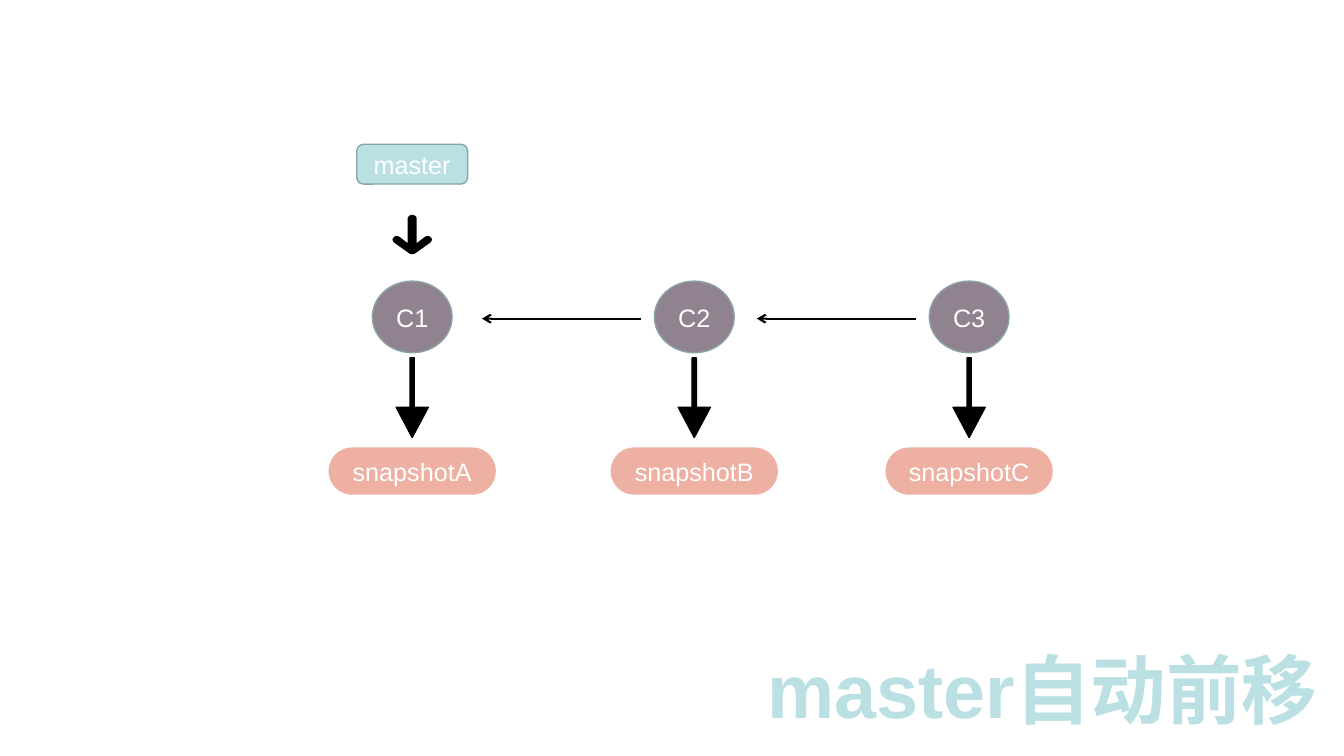
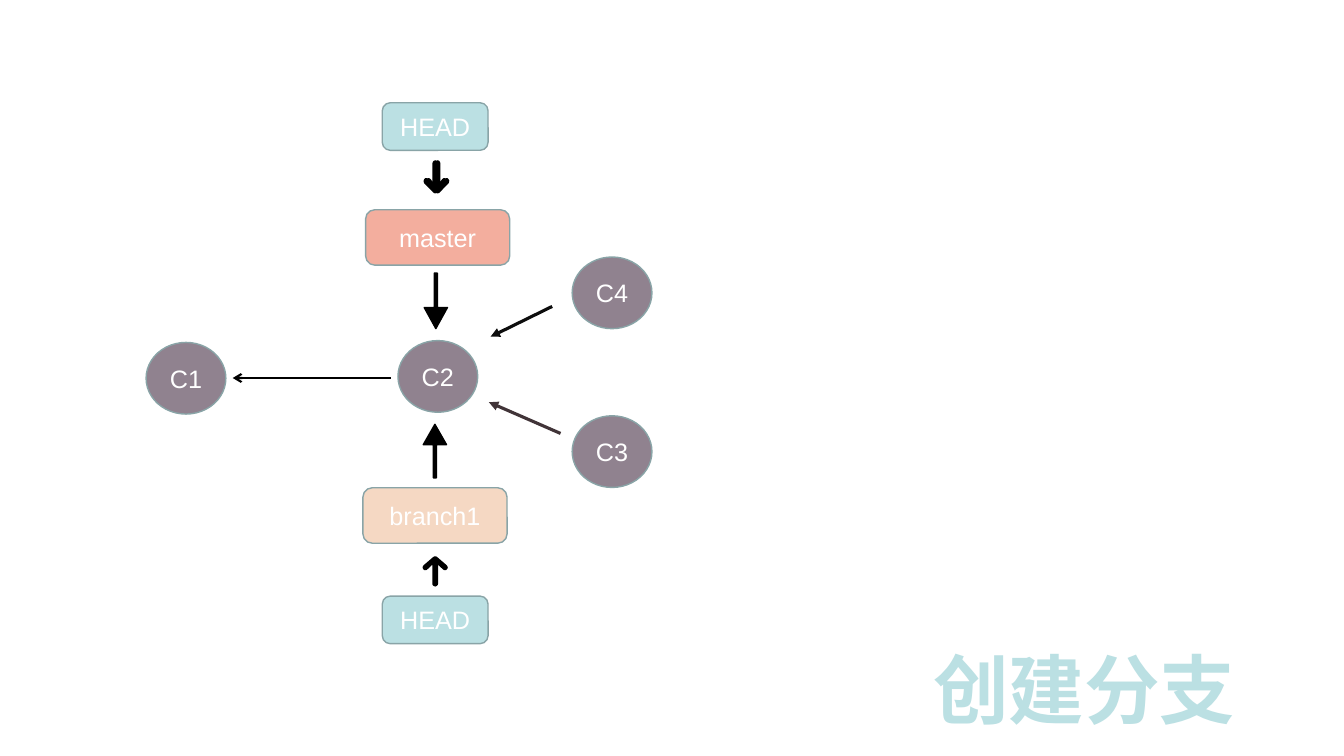
from dataclasses import dataclass

from pptx import Presentation
from pptx.dml.color import RGBColor
from pptx.enum.shapes import MSO_CONNECTOR as Link, MSO_SHAPE as Preset
from pptx.enum.text import MSO_ANCHOR as Anchor, MSO_AUTO_SIZE as Fit, PP_ALIGN as Align
from pptx.oxml.ns import qn
from pptx.util import Pt
from lxml.etree import SubElement


@dataclass(frozen=True)
class Theme:
    font: str = "Arial"
    title_size: float = 54
    label_size: float = 18
    outline: float = 0.99
    white: str = "FFFFFF"
    black: str = "000000"
    near_black: str = "0D0D0D"
    brown: str = "413438"
    edge: str = "89A4A7"
    aqua: str = "BBE0E3"
    mauve: str = "90828F"
    rose: str = "EEB0A2"
    coral: str = "F3AE9E"
    sand: str = "F5D8C3"


theme = Theme()
PAGE_SIZE = (960.48, 540)
TITLE_RIGHT, TITLE_TOP, TITLE_HEIGHT = 958.4, 455.8, 72

STYLES = {
    "commit": (Preset.OVAL, 57, 51.2, theme.mauve, theme.edge, None),
    "snapshot": (Preset.ROUNDED_RECTANGLE, 119.5, 33.8, theme.rose, None, 0.5),
    "pointer": (Preset.ROUNDED_RECTANGLE, 79.2, 28.4, theme.aqua, theme.edge, 0.167),
    "head": (Preset.ROUNDED_RECTANGLE, 75.6, 34, theme.aqua, theme.edge, 0.167),
    "master": (Preset.ROUNDED_RECTANGLE, 103, 39.6, theme.coral, theme.edge, 0.167),
    "branch": (Preset.ROUNDED_RECTANGLE, 103, 39.6, theme.sand, theme.edge, 0.167),
}

ROUND_HALF = [(0, 0), (0.13, 0.02), (0.2, 0.05), (0.23, 0.09), (0.23, 0.72),
              (0.64, 0.56), (0.73, 0.54), (0.85, 0.54), (0.94, 0.57), (1, 0.62),
              (0.98, 0.66), (0.93, 0.7), (0.2, 0.96), (0.11, 0.99), (0, 1)]
SOLID_HALF = [(0.13, 0), (0.13, 0.62), (1, 0.62), (0, 1)]

HISTORY = [(294.6, "C1", "snapshotA"), (496.2, "C2", "snapshotB"), (692.6, "C3", "snapshotC")]
COMMIT_Y, SNAPSHOT_Y, LINK_Y = 226.4, 336.5, 227.6
LINK_GAP, LINK_LENGTH = 37.9, 113.8

BRANCH_NODES = [
    ("commit", "C1", 132.9, 270.2),
    ("commit", "C2", 312.9, 268.9),
    ("commit", "C4", 437.4, 209.2),
    ("commit", "C3", 437.4, 322.6),
    ("master", "master", 312.8, 169.6),
    ("branch", "branch1", 310.9, 368.2),
    ("head", "HEAD", 311, 90.4),
    ("head", "HEAD", 311, 442.8),
]
BRANCH_LINKS = [
    ((279.4, 270), (166.3, 270), theme.black, 1.5, "arrow"),
    ((394.6, 218.9), (350.6, 240.5), theme.near_black, 2.24, "triangle"),
    ((400.6, 309.6), (349.4, 287.3), theme.brown, 2.24, "triangle"),
]
BRANCH_ARROWS = [
    (SOLID_HALF, 311.5, 195.1, 234.7, 8.3),
    (SOLID_HALF, 310.8, 341.3, 303.1, 8.3),
    (ROUND_HALF, 311, 114.5, 138.2, 8.3),
    (ROUND_HALF, 312.8, 114.5, 138.2, 8.3),
    (ROUND_HALF, 311, 419, 397.4, 9),
]


def color(value):
    return RGBColor.from_string(value)


def apply(target, **formats):
    for name, value in formats.items():
        setattr(target, name, value)


def paint(shape, fill, line):
    shape.shadow.inherit = False
    shape.fill.solid()
    shape.fill.fore_color.rgb = color(fill)
    if line:
        shape.line.color.rgb = color(line)
        shape.line.width = Pt(theme.outline)
    else:
        shape.line.fill.background()


def write(shape, text, size, ink, bold, anchor):
    frame = shape.text_frame
    apply(frame, word_wrap=True, auto_size=Fit.NONE, vertical_anchor=anchor,
          margin_left=Pt(7.2), margin_right=Pt(7.2), margin_top=Pt(3.6), margin_bottom=Pt(3.6))
    para = frame.paragraphs[0]
    para.alignment = Align.CENTER
    span = para.add_run()
    span.text = text
    apply(span.font, name=theme.font, size=Pt(size), bold=bold)
    span.font.color.rgb = color(ink)


def add_page(deck, title, width):
    page = deck.slides.add_slide(deck.slide_layouts[5])
    box = page.shapes.title
    apply(box, left=Pt(TITLE_RIGHT - width), top=Pt(TITLE_TOP),
          width=Pt(width), height=Pt(TITLE_HEIGHT))
    write(box, title, theme.title_size, theme.aqua, True, Anchor.TOP)
    return page


def add_node(page, style, text, x, y):
    preset, width, height, fill, line, corner = STYLES[style]
    box = page.shapes.add_shape(preset, Pt(x - width / 2), Pt(y - height / 2), Pt(width), Pt(height))
    if corner is not None:
        box.adjustments[0] = corner
    paint(box, fill, line)
    write(box, text, theme.label_size, theme.white, False, Anchor.MIDDLE)


def add_link(page, start, end, ink, weight, tip):
    link = page.shapes.add_connector(Link.STRAIGHT, *map(Pt, start + end))
    link.line.color.rgb = color(ink)
    link.line.width = Pt(weight)
    SubElement(link.line._get_or_add_ln(), qn("a:tailEnd"), type=tip)
    SubElement(link._element.spPr, qn("a:effectLst"))


def add_block_arrow(page, half, x, tail, tip, reach):
    outline = half + [(-across, along) for across, along in reversed(half)]
    points = [(Pt(x + across * reach), Pt(tail + along * (tip - tail))) for across, along in outline]
    builder = page.shapes.build_freeform(*points[0])
    builder.add_line_segments(points[1:], close=True)
    paint(builder.convert_to_shape(), theme.black, theme.black if half is SOLID_HALF else None)


def build_history(deck):
    page = add_page(deck, "master自动前移", 427)
    for index, (x, commit, snapshot) in enumerate(HISTORY):
        add_node(page, "commit", commit, x, COMMIT_Y)
        add_block_arrow(page, SOLID_HALF, x, 255.6, 312.5, 11.5)
        add_node(page, "snapshot", snapshot, x, SNAPSHOT_Y)
        if index:
            start = x - LINK_GAP
            add_link(page, (start, LINK_Y), (start - LINK_LENGTH, LINK_Y), theme.black, 1.5, "arrow")
    first = HISTORY[0][0]
    add_block_arrow(page, ROUND_HALF, first, 153.4, 181.6, 14.1)
    add_node(page, "pointer", "master", first, 117.3)


def build_branches(deck):
    page = add_page(deck, "创建分支", 367.2)
    for link in BRANCH_LINKS:
        add_link(page, *link)
    for node in BRANCH_NODES:
        add_node(page, *node)
    for arrow in BRANCH_ARROWS:
        add_block_arrow(page, *arrow)


deck = Presentation()
deck.slide_width, deck.slide_height = map(Pt, PAGE_SIZE)
build_history(deck)
build_branches(deck)
deck.save("out.pptx")
